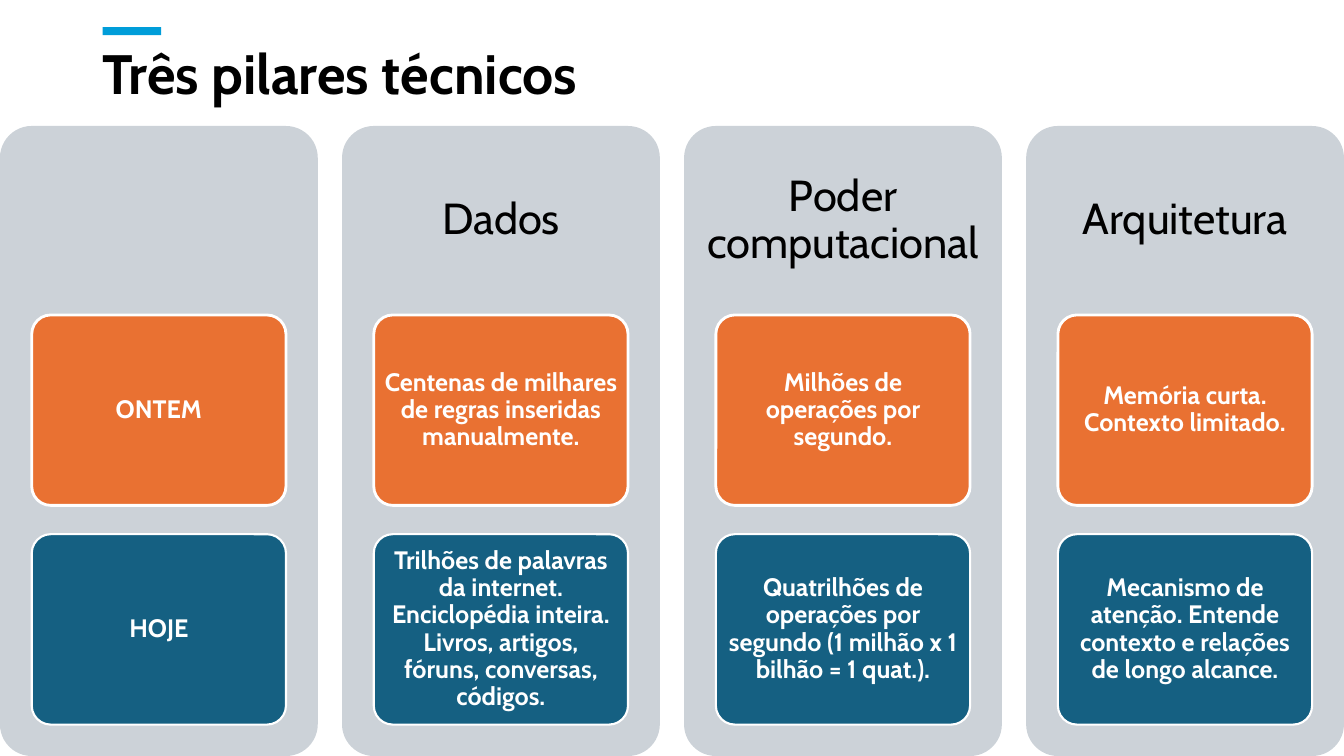
from pptx import Presentation
from pptx import util as u
from pptx.dml import color
from pptx.enum import shapes, text

FONT = "Cabin"
BLACK, WHITE, ACCENT, PANEL = "000000", "FFFFFF", "009DD9", "CCD2D8"
ROWS = [("E97132", 2), ("156082", 1.5)]
PILLARS = [
    ("", "ONTEM", "HOJE"),
    ("Dados", "Centenas de milhares de regras inseridas manualmente.",
     "Trilhões de palavras da internet. Enciclopédia inteira. Livros, artigos, "
     "fóruns, conversas, códigos."),
    ("Poder computacional", "Milhões de operações por segundo.",
     "Quatrilhões de operações por segundo (1 milhão x 1 bilhão = 1 quat.)."),
    ("Arquitetura", "Memória curta. Contexto limitado.",
     "Mecanismo de atenção. Entende contexto e relações de longo alcance."),
]


def rgb(value):
    """Turn a hex string into a colour."""
    return color.RGBColor.from_string(value)


def add_box(slide, kind, box, fill, line_width=0):
    """Draw a filled shape, with a white outline if a line width is given."""
    shape = slide.shapes.add_shape(kind, *map(u.Pt, box))
    shape.shadow.inherit = False
    shape.fill.solid()
    shape.fill.fore_color.rgb = rgb(fill)
    if line_width:
        shape.line.color.rgb = rgb(WHITE)
        shape.line.width = u.Pt(line_width)
    else:
        shape.line.fill.background()
    if kind == shapes.MSO_SHAPE.ROUNDED_RECTANGLE:
        shape.adjustments[0] = 0.1
    return shape


def write(shape, words, size, hue, bold, align, margins):
    """Write one vertically centred paragraph in a shape."""
    frame = shape.text_frame
    frame.word_wrap = True
    frame.vertical_anchor = text.MSO_ANCHOR.MIDDLE
    frame.margin_left = frame.margin_right = u.Pt(margins[0])
    frame.margin_top = frame.margin_bottom = u.Pt(margins[1])
    paragraph = frame.paragraphs[0]
    paragraph.alignment = align
    paragraph.line_spacing = 0.9
    run = paragraph.add_run()
    run.text = words
    run.font.name = FONT
    run.font.size = u.Pt(size)
    run.font.bold = bold
    run.font.color.rgb = rgb(hue)


def add_heading(slide, box, words):
    """Place the slide title and the accent bar above it."""
    left, top, width, height = box
    title = slide.shapes.add_textbox(*map(u.Pt, box))
    write(title, words, 39.6, BLACK, True, text.PP_ALIGN.LEFT, (7.2, 3.6))
    bar = (left + 7.2, top - 9.4, 41.8, 5.8)
    add_box(slide, shapes.MSO_SHAPE.RECTANGLE, bar, ACCENT)


def add_pillar(slide, box, header, cards):
    """Place a column panel with its header and its stacked cards."""
    left, top, width, height = box
    rounded = shapes.MSO_SHAPE.ROUNDED_RECTANGLE
    center = text.PP_ALIGN.CENTER
    add_box(slide, rounded, box, PANEL)
    if header:
        area = (left, top, width, height * 0.3)
        label = slide.shapes.add_textbox(*map(u.Pt, area))
        write(label, header, 31, BLACK, False, center, (9.3, 9.3))
    card_height = 136
    pitch = 156.6
    for row, (words, (fill, line_width)) in enumerate(zip(cards, ROWS)):
        area = (left + width * 0.1, top + height * 0.3 + row * pitch,
                width * 0.8, card_height)
        card = add_box(slide, rounded, area, fill, line_width)
        write(card, words, 18, WHITE, True, center, (3.6, 2.7))


def main():
    """Build the slide and save it."""
    presentation = Presentation()
    presentation.slide_width = u.Pt(960)
    presentation.slide_height = u.Pt(540)
    slide = presentation.slides.add_slide(presentation.slide_layouts[6])
    add_heading(slide, (66.2, 28.8, 828, 51.8), "Três pilares técnicos")
    width = 227
    pitch = (960 - width) / (len(PILLARS) - 1)
    for column, (header, *cards) in enumerate(PILLARS):
        add_pillar(slide, (column * pitch, 90, width, 450), header, cards)
    presentation.save("out.pptx")


if __name__ == "__main__":
    main()
